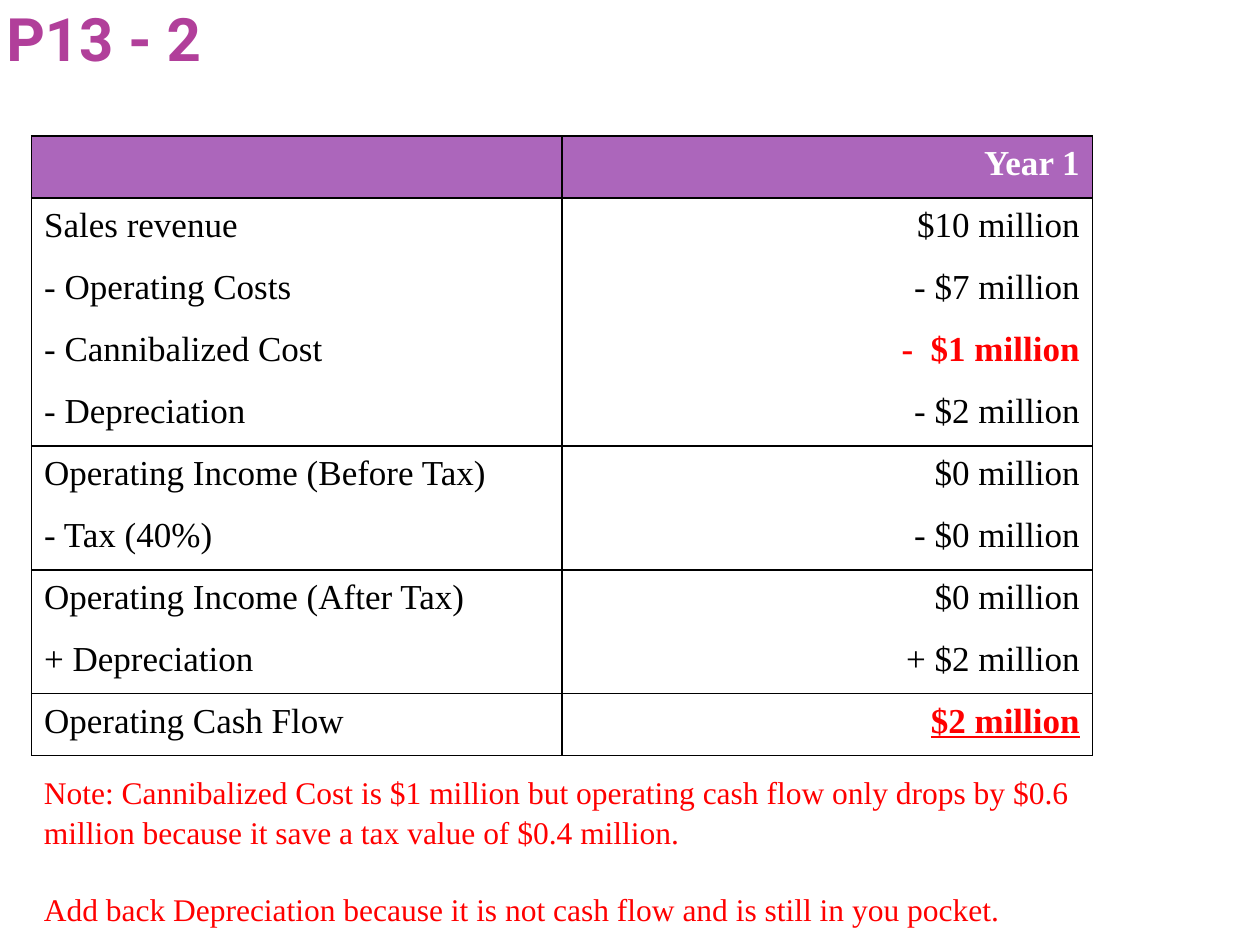
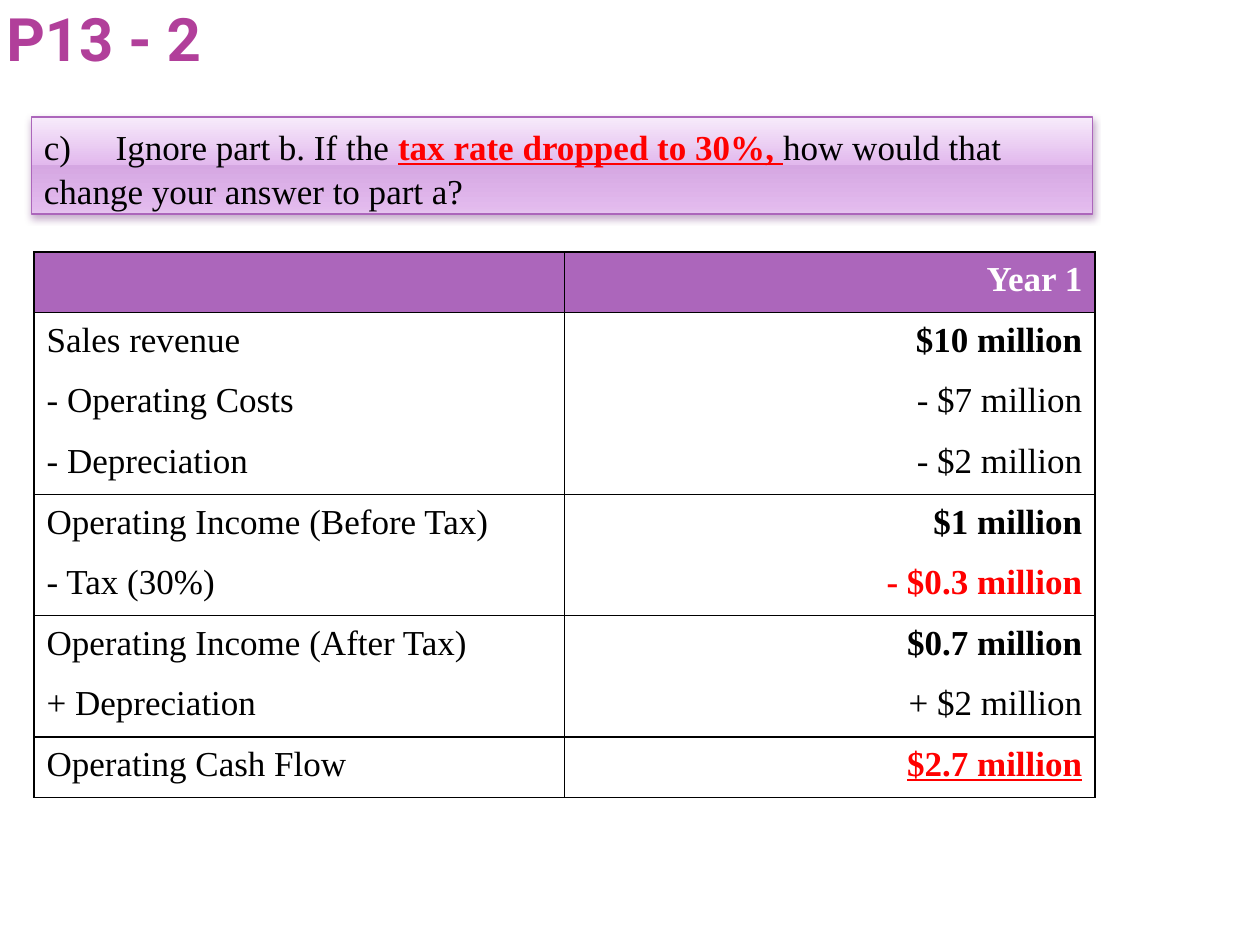
from dataclasses import dataclass

from lxml.etree import SubElement
from pptx import Presentation
from pptx.dml.color import RGBColor
from pptx.enum.shapes import MSO_SHAPE
from pptx.enum.text import MSO_ANCHOR, PP_ALIGN
from pptx.oxml.ns import qn
from pptx.util import Inches, Pt

# Content: each table is a list of ruled groups of (label, amount, style)
TITLE = "P13 - 2"
HEADER = [("", "Year 1", "header")]

CANNIBALIZED_CASE = [
    HEADER,
    [("Sales revenue", "$10 million", "plain"),
     ("- Operating Costs", "- $7 million", "plain"),
     ("- Cannibalized Cost", "-  $1 million", "alert"),
     ("- Depreciation", "- $2 million", "plain")],
    [("Operating Income (Before Tax)", "$0 million", "plain"),
     ("- Tax (40%)", "- $0 million", "plain")],
    [("Operating Income (After Tax)", "$0 million", "plain"),
     ("+ Depreciation", "+ $2 million", "plain")],
    [("Operating Cash Flow", "$2 million", "total")],
]

LOWER_TAX_CASE = [
    HEADER,
    [("Sales revenue", "$10 million", "bold"),
     ("- Operating Costs", "- $7 million", "plain"),
     ("- Depreciation", "- $2 million", "plain")],
    [("Operating Income (Before Tax)", "$1 million", "bold"),
     ("- Tax (30%)", "- $0.3 million", "alert")],
    [("Operating Income (After Tax)", "$0.7 million", "bold"),
     ("+ Depreciation", "+ $2 million", "plain")],
    [("Operating Cash Flow", "$2.7 million", "total")],
]

NOTES = [
    "Note: Cannibalized Cost is $1 million but operating cash flow only drops by "
    "$0.6 million because it save a tax value of $0.4 million.",
    "Add back Depreciation because it is not cash flow and is still in you pocket.",
]

QUESTION = [
    ("c)\t Ignore part b. If the ", "plain"),
    ("tax rate dropped to 30%, ", "total"),
    ("how would that change your answer to part a?", "plain"),
]


@dataclass(frozen=True)
class Theme:
    title_font: str = "Roboto"
    body_font: str = "Times New Roman"
    title_size: float = 34.2
    body_size: float = 20
    note_size: float = 18
    line_spacing: float = 1.05
    note_gap: float = 21.7
    title: str = "B13F9A"
    accent: str = "AC66BB"
    ink: str = "000000"
    alert: str = "FF0000"
    paper: str = "FFFFFF"
    shadow: str = "6E307B"
    question_stops: tuple = ((0, "F7EBFB"), (49, "E2B9ED"), (49, "D5A7E2"),
                             (92, "E2B9ED"), (100, "E6C6EF"))


THEME = Theme()
# Style name: colour, bold, underline
STYLES = {
    "plain": (THEME.ink, False, False),
    "bold": (THEME.ink, True, False),
    "header": (THEME.paper, True, False),
    "alert": (THEME.alert, True, False),
    "note": (THEME.alert, False, False),
    "total": (THEME.alert, True, True),
    "title": (THEME.title, True, False),
}
LEFT, WIDTH = 0.25, 8.42


def rgb(value):
    return RGBColor.from_string(value)


def add_span(para, text, style, size=THEME.body_size, font=THEME.body_font):
    color, bold, underline = STYLES[style]
    span = para.add_run()
    span.text = text
    span.font.name, span.font.size = font, Pt(size)
    span.font.bold, span.font.underline = bold, underline
    span.font.color.rgb = rgb(color)


def add_text_box(page, left, top, width, height):
    box = page.shapes.add_textbox(*map(Inches, (left, top, width, height)))
    box.text_frame.word_wrap = True
    return box.text_frame


def add_page(deck):
    page = deck.slides.add_slide(deck.slide_layouts[6])
    frame = add_text_box(page, 0, 0, 7.92, 0.58)
    frame.vertical_anchor = MSO_ANCHOR.BOTTOM
    frame.margin_left = frame.margin_right = Inches(0.05)
    frame.margin_top = frame.margin_bottom = 0
    add_span(frame.paragraphs[0], TITLE, "title", THEME.title_size, THEME.title_font)
    return page


def set_borders(cell, ruled_sides):
    properties = cell._tc.get_or_add_tcPr()
    for position, side in enumerate("LRTB"):
        line = SubElement(properties, qn(f"a:ln{side}"), w=str(Pt(1)))
        properties.insert(position, line)
        if side in ruled_sides:
            fill = SubElement(line, qn("a:solidFill"))
            SubElement(fill, qn("a:srgbClr"), val=THEME.ink)
        else:
            SubElement(line, qn("a:noFill"))


def add_cash_flow_table(page, groups, left, top, height):
    # A rule closes each group of rows; columns are ruled throughout
    rows = [(entry, "LR" + "T" * (i == 0) + "B" * (i == len(group) - 1))
            for group in groups for i, entry in enumerate(group)]
    table = page.shapes.add_table(len(rows), 2, Inches(left), Inches(top),
                                  Inches(WIDTH), Inches(height)).table
    table.first_row = table.horz_banding = False
    for r, ((label, amount, style), sides) in enumerate(rows):
        table.rows[r].height = Inches(height / len(rows))
        columns = ((label, "plain", PP_ALIGN.LEFT), (amount, style, PP_ALIGN.RIGHT))
        for c, (text, text_style, alignment) in enumerate(columns):
            cell = table.cell(r, c)
            cell.fill.solid()
            cell.fill.fore_color.rgb = rgb(THEME.accent if style == "header" else THEME.paper)
            set_borders(cell, sides)
            para = cell.text_frame.paragraphs[0]
            para.alignment, para.line_spacing = alignment, THEME.line_spacing
            if text:
                add_span(para, text, text_style)


def add_notes(page):
    frame = add_text_box(page, LEFT, 6.07, WIDTH, 1.31)
    for i, text in enumerate(NOTES):
        para = frame.add_paragraph() if i else frame.paragraphs[0]
        para.line_spacing = THEME.line_spacing
        para.space_before = Pt(THEME.note_gap if i else 0)
        add_span(para, text, "note", THEME.note_size)


def add_question(page):
    box = page.shapes.add_shape(MSO_SHAPE.RECTANGLE, Inches(LEFT), Inches(0.93),
                                Inches(WIDTH), Inches(0.77))
    # Glossy gradient, top to bottom
    box.fill.gradient()
    box.fill.gradient_angle = 270
    properties = box._element.spPr
    stops = properties.find(f".//{qn('a:gsLst')}")
    for stop in list(stops):
        stops.remove(stop)
    for percent, color in THEME.question_stops:
        stop = SubElement(stops, qn("a:gs"), pos=str(percent * 1000))
        SubElement(stop, qn("a:srgbClr"), val=color)
    box.line.color.rgb, box.line.width = rgb(THEME.accent), Pt(0.9)

    # Soft shadow below the box
    box.shadow.inherit = False
    shadow = SubElement(properties.find(qn("a:effectLst")), qn("a:outerShdw"),
                        blurRad=str(Pt(4)), dist=str(Pt(2)), dir="5400000", rotWithShape="0")
    color = SubElement(shadow, qn("a:srgbClr"), val=THEME.shadow)
    SubElement(color, qn("a:alpha"), val="38000")

    frame = box.text_frame
    frame.word_wrap, frame.vertical_anchor = True, MSO_ANCHOR.TOP
    para = frame.paragraphs[0]
    para.alignment, para.line_spacing = PP_ALIGN.LEFT, THEME.line_spacing
    for text, style in QUESTION:
        add_span(para, text, style)


def main():
    deck = Presentation()
    deck.slide_width, deck.slide_height = Inches(10), Inches(7.5)

    # Cash flow with the cannibalized cost
    page = add_page(deck)
    add_cash_flow_table(page, CANNIBALIZED_CASE, LEFT, 1.08, 4.92)
    add_notes(page)

    # Cash flow at the lower tax rate
    page = add_page(deck)
    add_question(page)
    add_cash_flow_table(page, LOWER_TAX_CASE, 0.27, 2, 4.33)

    deck.save("out.pptx")


if __name__ == "__main__":
    main()
